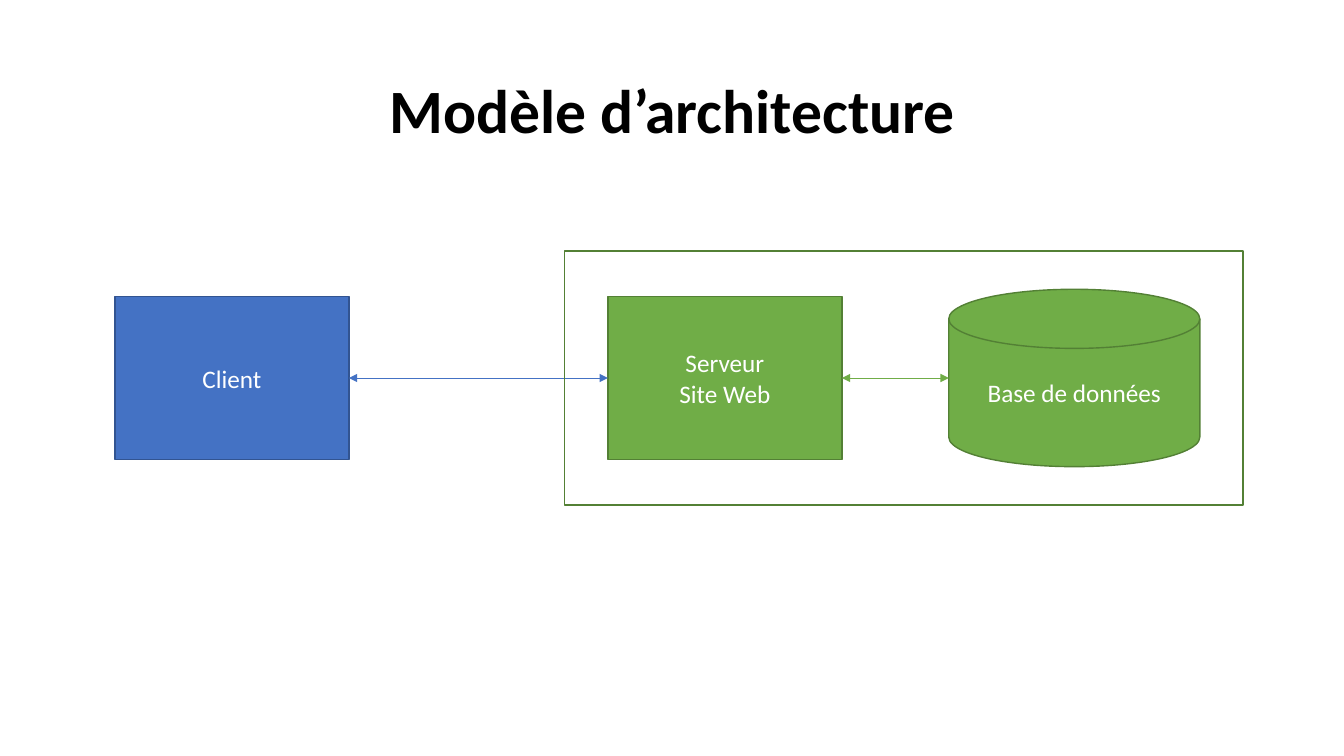
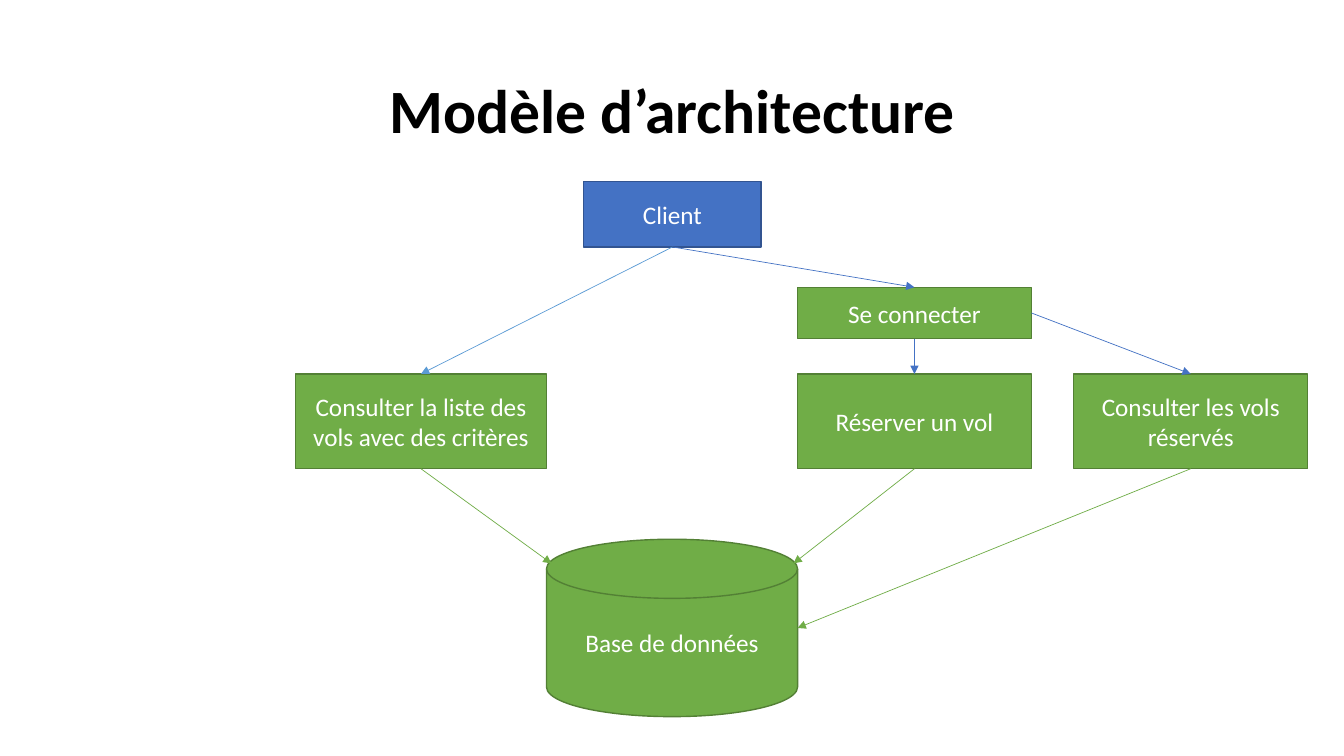
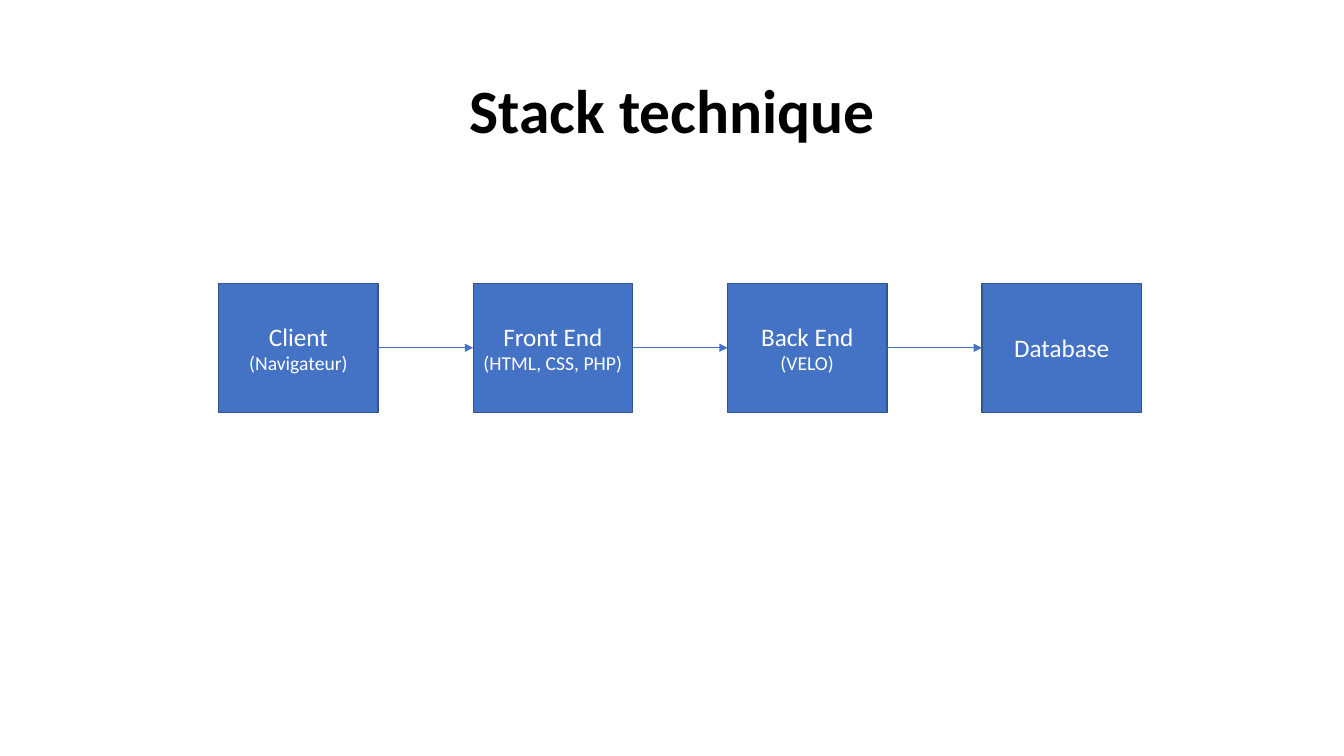
import dataclasses
import typing

import lxml.etree
import pptx
import pptx.dml.color
import pptx.enum.shapes
import pptx.enum.text
import pptx.oxml.ns
import pptx.presentation
import pptx.shapes.autoshape
import pptx.slide
import pptx.util

Inches = pptx.util.Inches
Pt = pptx.util.Pt
Shape = pptx.shapes.autoshape.Shape
RECTANGLE = pptx.enum.shapes.MSO_SHAPE.RECTANGLE
DISK = pptx.enum.shapes.MSO_SHAPE.FLOWCHART_MAGNETIC_DISK

FONT = "Calibri"
COLORS = {
    "title": "000000",
    "text": "FFFFFF",
    "blue": "4472C4",
    "blue_edge": "325491",
    "light_blue": "5B9BD5",
    "green": "70AD47",
    "green_edge": "538035",
}
TOP, LEFT, BOTTOM, RIGHT = range(4)
DISK_SIZE = (2.49, 1.76)


@dataclasses.dataclass(frozen=True)
class Node:
    key: str
    lines: tuple[str, ...]
    left: float
    top: float
    width: float
    height: float
    color: str = "green"
    kind: pptx.enum.shapes.MSO_SHAPE = RECTANGLE
    filled: bool = True
    detail: str = ""

    def side(self, side: int) -> tuple[float, float]:
        across = {TOP: 0.5, LEFT: 0, BOTTOM: 0.5, RIGHT: 1}[side]
        down = {TOP: 0, LEFT: 0.5, BOTTOM: 1, RIGHT: 0.5}[side]
        return self.left + across * self.width, self.top + down * self.height


@dataclasses.dataclass(frozen=True)
class Joint:
    key: str
    side: int
    shift: tuple[float, float] = (0, 0)


@dataclasses.dataclass(frozen=True)
class Arrow:
    start: Joint
    end: Joint
    color: str = "blue"
    double: bool = False


@dataclasses.dataclass(frozen=True)
class Diagram:
    title: str
    nodes: list[Node]
    arrows: list[Arrow]
    frame: Node | None = None


def rgb(name: str) -> pptx.dml.color.RGBColor:
    return pptx.dml.color.RGBColor.from_string(COLORS[name])


def add_text(para: typing.Any, text: str, size: float, color: str, bold: bool = False) -> None:
    para.alignment = pptx.enum.text.PP_ALIGN.CENTER
    span = para.add_run()
    span.text = text
    span.font.name = FONT
    span.font.size = Pt(size)
    span.font.bold = bold
    span.font.color.rgb = rgb(color)


def add_title(page: pptx.slide.Slide, text: str) -> None:
    title = page.shapes.title
    title.left, title.top = Inches(0.92), Inches(0.4)
    title.width, title.height = Inches(11.5), Inches(1.45)
    title.text_frame.vertical_anchor = pptx.enum.text.MSO_ANCHOR.MIDDLE
    para = title.text_frame.paragraphs[0]
    para.line_spacing = 0.9
    add_text(para, text, 44, "title", bold=True)


def add_node(page: pptx.slide.Slide, node: Node) -> Shape:
    box = page.shapes.add_shape(
        node.kind, Inches(node.left), Inches(node.top), Inches(node.width), Inches(node.height)
    )
    box.shadow.inherit = False
    if node.filled:
        box.fill.solid()
        box.fill.fore_color.rgb = rgb(node.color)
    else:
        box.fill.background()
    box.line.color.rgb = rgb(node.color + "_edge")
    box.line.width = Pt(1)
    texts = [(line, 18) for line in node.lines]
    if node.detail:
        texts.append((node.detail, 14))
    if texts:
        box.text_frame.word_wrap = True
        box.text_frame.vertical_anchor = pptx.enum.text.MSO_ANCHOR.MIDDLE
    for index, (text, size) in enumerate(texts):
        para = box.text_frame.add_paragraph() if index else box.text_frame.paragraphs[0]
        add_text(para, text, size, "text")
    return box


def add_arrow(
    page: pptx.slide.Slide, arrow: Arrow, nodes: dict[str, Node], boxes: dict[str, Shape]
) -> None:
    joints = (arrow.start, arrow.end)
    places = []
    for joint in joints:
        x, y = nodes[joint.key].side(joint.side)
        places += [Inches(x + joint.shift[0]), Inches(y + joint.shift[1])]
    line = page.shapes.add_connector(pptx.enum.shapes.MSO_CONNECTOR.STRAIGHT, *places)
    for joint, connect in zip(joints, (line.begin_connect, line.end_connect)):
        if nodes[joint.key].kind == RECTANGLE:
            connect(boxes[joint.key], joint.side)
    line.line.color.rgb = rgb(arrow.color)
    line.line.width = Pt(0.5)
    properties = line.line._get_or_add_ln()
    for end in ("a:headEnd", "a:tailEnd") if arrow.double else ("a:tailEnd",):
        lxml.etree.SubElement(properties, pptx.oxml.ns.qn(end), type="triangle")
    lxml.etree.SubElement(properties.getparent(), pptx.oxml.ns.qn("a:effectLst"))


def add_diagram(deck: pptx.presentation.Presentation, diagram: Diagram) -> None:
    page = deck.slides.add_slide(deck.slide_layouts.get_by_name("Title Only"))
    add_title(page, diagram.title)
    nodes = {node.key: node for node in diagram.nodes}
    boxes = {node.key: add_node(page, node) for node in diagram.nodes}
    for arrow in diagram.arrows:
        add_arrow(page, arrow, nodes, boxes)
    if diagram.frame:
        add_node(page, diagram.frame)


def overview() -> Diagram:
    return Diagram(
        "Modèle d’architecture",
        [
            Node("client", ("Client",), 1.14, 2.94, 2.32, 1.62, "blue"),
            Node("server", ("Serveur", "Site Web"), 6.03, 2.94, 2.32, 1.62),
            Node("database", ("Base de données",), 9.41, 2.87, *DISK_SIZE, kind=DISK),
        ],
        [
            Arrow(Joint("server", RIGHT), Joint("database", LEFT), "green", double=True),
            Arrow(Joint("client", RIGHT), Joint("server", LEFT), double=True),
        ],
        Node("hosting", (), 5.6, 2.49, 6.73, 2.52, filled=False),
    )


def features() -> Diagram:
    return Diagram(
        "Modèle d’architecture",
        [
            Node("client", ("Client",), 5.79, 1.8, 1.76, 0.65, "blue"),
            Node("search", ("Consulter la liste des vols avec des critères",), 2.93, 3.71, 2.49, 0.94),
            Node("database", ("Base de données",), 5.42, 5.35, *DISK_SIZE, kind=DISK),
            Node("sign in", ("Se connecter",), 7.91, 2.85, 2.32, 0.51),
            Node("book", ("Réserver un vol",), 7.91, 3.71, 2.32, 0.94),
            Node("bookings", ("Consulter les vols réservés",), 10.65, 3.71, 2.32, 0.94),
        ],
        [
            Arrow(Joint("client", BOTTOM), Joint("search", TOP), "light_blue"),
            Arrow(Joint("client", BOTTOM), Joint("sign in", TOP)),
            Arrow(Joint("sign in", BOTTOM), Joint("book", TOP)),
            Arrow(Joint("search", BOTTOM), Joint("database", LEFT, (0.05, -0.64)), "green"),
            Arrow(Joint("book", BOTTOM), Joint("database", RIGHT, (-0.04, -0.64)), "green"),
            Arrow(Joint("sign in", RIGHT), Joint("bookings", TOP)),
            Arrow(Joint("bookings", BOTTOM), Joint("database", RIGHT), "green"),
        ],
    )


def stack() -> Diagram:
    layers = [
        ("Client", "(Navigateur)"),
        ("Front End", "(HTML, CSS, PHP)"),
        ("Back End", "(VELO)"),
        ("Database", ""),
    ]
    first, last = 2.17, 9.74
    step = (last - first) / (len(layers) - 1)
    nodes = [
        Node(name, (name,), first + index * step, 2.81, 1.58, 1.28, "blue", detail=detail)
        for index, (name, detail) in enumerate(layers)
    ]
    arrows = [
        Arrow(Joint(before.key, RIGHT), Joint(after.key, LEFT))
        for before, after in zip(nodes, nodes[1:])
    ]
    return Diagram("Stack technique", nodes, arrows)


def main() -> None:
    deck = pptx.Presentation()
    deck.slide_width, deck.slide_height = Inches(13.33), Inches(7.5)
    for diagram in (overview(), features(), stack()):
        add_diagram(deck, diagram)
    deck.save("out.pptx")


if __name__ == "__main__":
    main()
